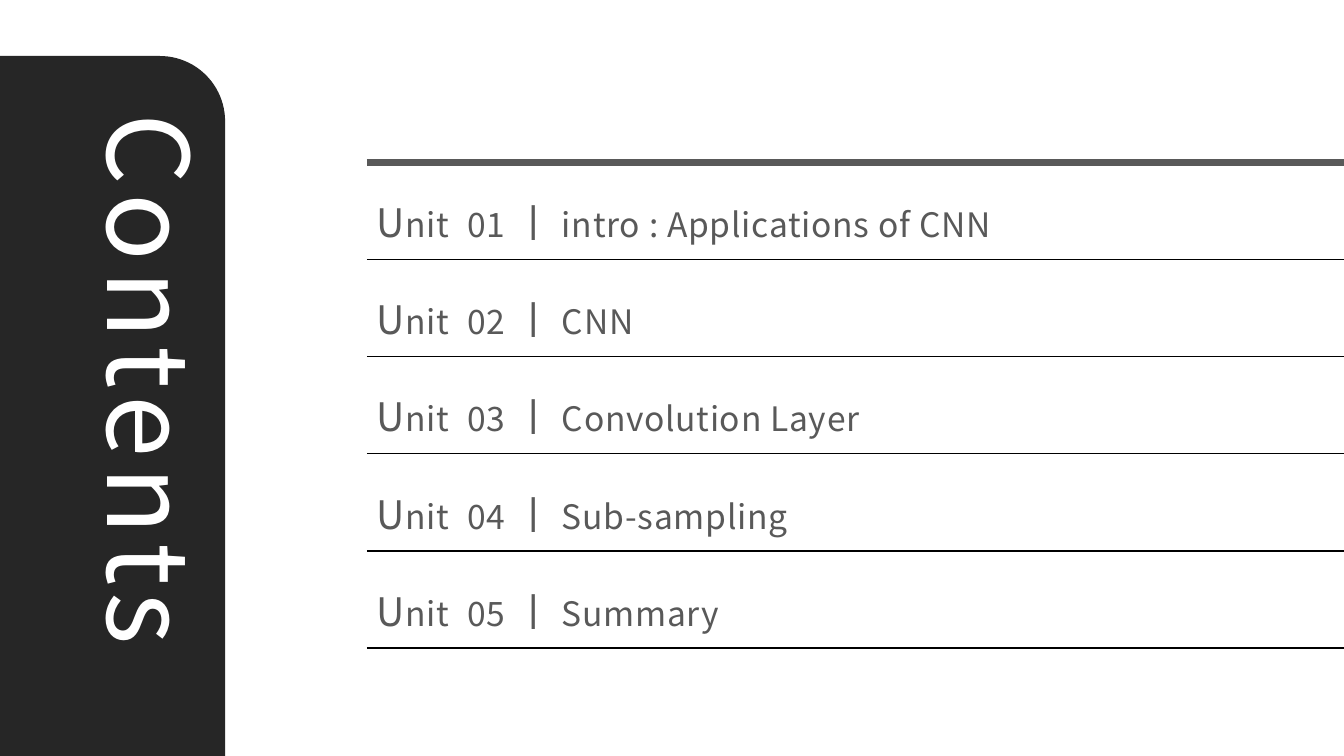
"""Contents slide: a dark side tab with a turned title and five ruled unit rows."""
from lxml import etree
from pptx import Presentation
from pptx.dml.color import RGBColor
from pptx.enum.shapes import MSO_CONNECTOR, MSO_SHAPE
from pptx.enum.text import MSO_ANCHOR, MSO_AUTO_SIZE
from pptx.oxml.ns import qn
from pptx.util import Pt

STRAIGHT = MSO_CONNECTOR.STRAIGHT
ROUND_CORNER = MSO_SHAPE.ROUND_1_RECTANGLE
MIDDLE = MSO_ANCHOR.MIDDLE
FIT_SHAPE = MSO_AUTO_SIZE.SHAPE_TO_FIT_TEXT

FONT = "Noto Sans CJK KR"
COLORS = {"tab": "262626", "title": "FFFFFF", "text": "595959", "rule": "000000"}
UNITS = ["intro : Applications of CNN", "CNN", "Convolution Layer", "Sub-sampling", "Summary"]

SLIDE_W, SLIDE_H = 960, 540
LEFT, TOP, PITCH = 262, 115.9, 69.4
NUMBER_TAB = 64.9


def add_run(p, text, size, color, spacing):
    r = p.add_run()
    r.text = text
    r.font.size = Pt(size)
    r.font.name = FONT
    r.font.color.rgb = RGBColor.from_string(COLORS[color])
    rPr = r.font._element
    rPr.set("spc", str(int(spacing * 100)))
    etree.SubElement(rPr, qn("a:ea")).set("typeface", FONT)


def add_rule(s, y, color, width):
    line = s.shapes.add_connector(STRAIGHT, Pt(LEFT), Pt(y), Pt(SLIDE_W), Pt(y))
    line.line.color.rgb = RGBColor.from_string(COLORS[color])
    line.line.width = Pt(width)
    etree.SubElement(line._element.spPr, qn("a:effectLst"))


prs = Presentation()
prs.slide_width, prs.slide_height = Pt(SLIDE_W), Pt(SLIDE_H)
s = prs.slides.add_slide(prs.slide_layouts[6])

tab = s.shapes.add_shape(ROUND_CORNER, Pt(0), Pt(40), Pt(160.8), Pt(500))
tab.adjustments[0] = 0.29
tab.shadow.inherit = False
tab.fill.solid()
tab.fill.fore_color.rgb = RGBColor.from_string(COLORS["tab"])
tab.line.fill.background()

title = s.shapes.add_textbox(Pt(-142.6), Pt(272.9), Pt(501.8), Pt(104.4))
title.rotation = 90
tf = title.text_frame
tf.word_wrap = True
tf.auto_size = FIT_SHAPE
add_run(tf.paragraphs[0], "Contents", 80, "title", 6)

add_rule(s, TOP, "text", 5)
for i, unit in enumerate(UNITS):
    y = TOP + i * PITCH
    row = s.shapes.add_textbox(Pt(LEFT), Pt(y + 15), Pt(679), Pt(55.4))
    tf = row.text_frame
    tf.word_wrap = True
    tf.vertical_anchor = MIDDLE
    p = tf.paragraphs[0]
    tabs = etree.SubElement(p._p.get_or_add_pPr(), qn("a:tabLst"))
    etree.SubElement(tabs, qn("a:tab"), pos=str(Pt(NUMBER_TAB)), algn="l")
    for text, size in [("U", 28), ("nit", 24), ("\t", 28), (f"{i + 1:02}", 24), (" ㅣ ", 28), (unit, 24)]:
        add_run(p, text, size, "text", 0.5)
    add_rule(s, y + PITCH, "rule", 1)

prs.save("out.pptx")
